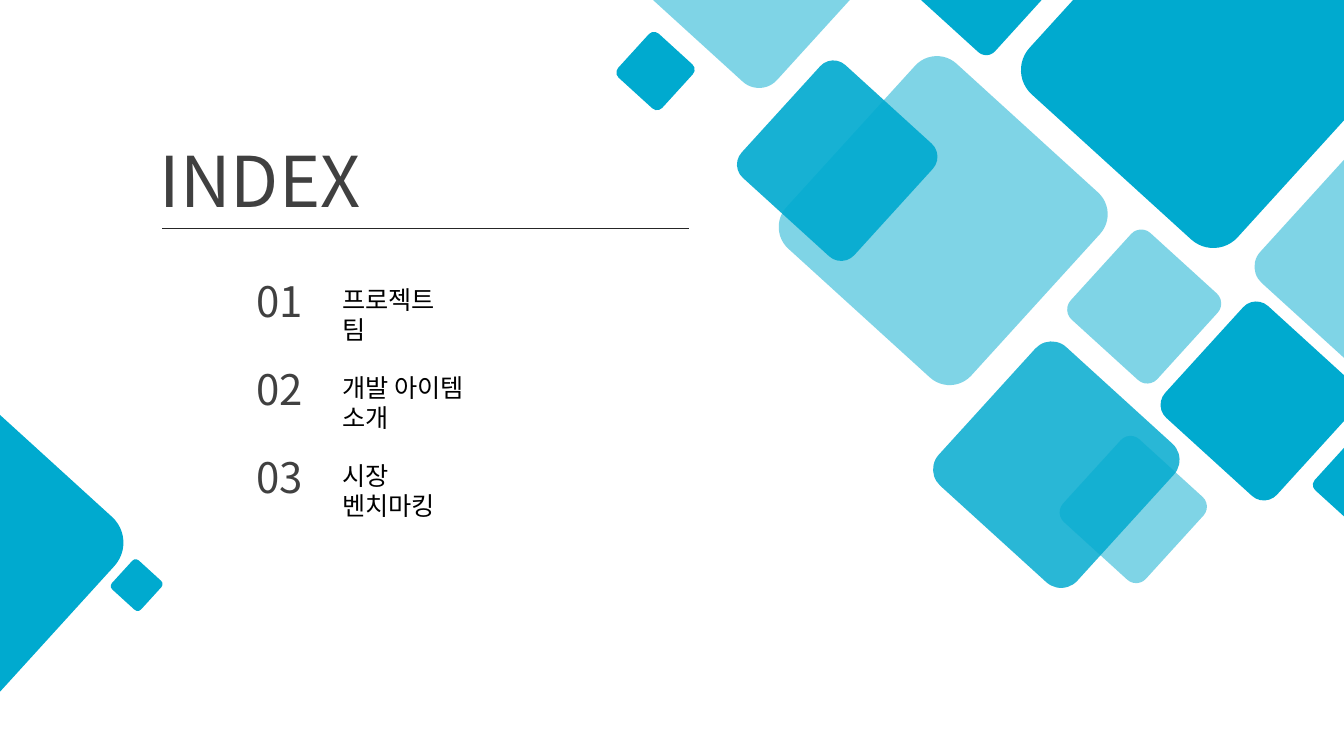
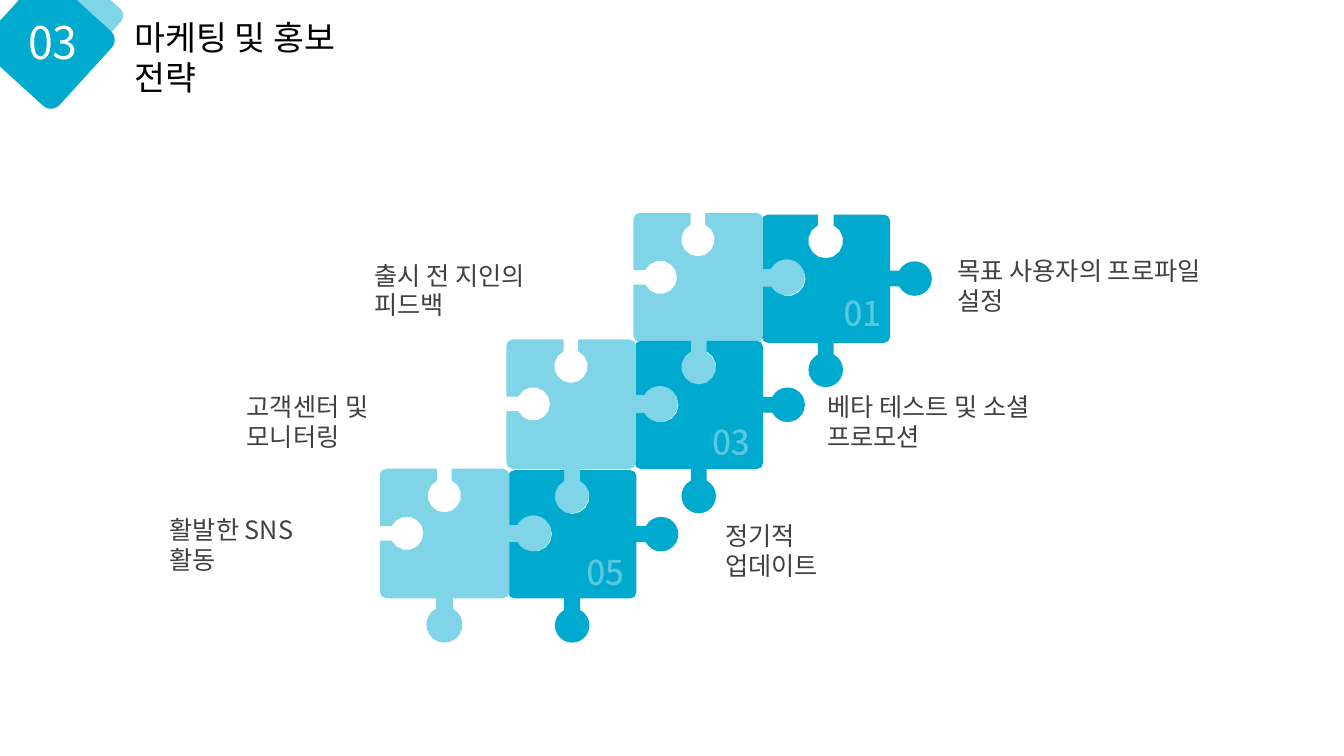
from dataclasses import dataclass
from math import asin, cos, pi, sin

from lxml.etree import SubElement
from pptx import Presentation
from pptx.dml.color import RGBColor
from pptx.enum.shapes import MSO_CONNECTOR as Connector, MSO_SHAPE as Preset
from pptx.oxml.ns import qn
from pptx.util import Cm, Pt


@dataclass(frozen=True)
class Theme:
    font: str = "Noto Sans CJK KR"
    blue: str = "00AACF"
    pale: str = "7FD4E7"
    black: str = "000000"
    grey: str = "404040"
    dark: str = "262626"
    white: str = "FFFFFF"
    display: int = 50
    badge: int = 32
    number: int = 30
    title: int = 24
    body: int = 18
    line_height: float = 1.19
    tilt: float = 42.3
    rounding: float = 0.117


THEME = Theme()

SIDE, CORNER, MIDDLE = 3.23, 0.15, 1.61
SOCKET_DEPTH, SOCKET_RADIUS, SLOT = 0.66, 0.44, 0.2
BALL, NECK_LENGTH = 0.87, 1.14


def arc(x, y, radius, start, end, steps):
    angles = (start + (end - start) * i / steps for i in range(steps + 1))
    return [(x + radius * cos(a), y + radius * sin(a)) for a in angles]


def puzzle_outline():
    half = asin(SLOT / SOCKET_RADIUS)
    socket = arc(MIDDLE, SOCKET_DEPTH, SOCKET_RADIUS,
                 -pi / 2 - half, -5 * pi / 2 + half, 12)
    top = [(MIDDLE - SLOT, 0), *socket, (MIDDLE + SLOT, 0)]
    left = [(y, x) for x, y in reversed(top)]
    near, far = CORNER, SIDE - CORNER
    corners = [arc(x, y, CORNER, turn * pi / 2, (turn + 1) * pi / 2, 2)
               for x, y, turn in ((near, near, 2), (far, near, 3),
                                  (far, far, 0), (near, far, 1))]
    return corners[0] + top + corners[1] + corners[2] + corners[3] + left


class Deck:
    def __init__(self, theme):
        self.theme = theme
        self.presentation = Presentation()
        self.presentation.slide_width = Cm(33.87)
        self.presentation.slide_height = Cm(19.05)
        self.slide = None

    def new_slide(self):
        self.slide = self.presentation.slides.add_slide(
            self.presentation.slide_layouts[6])

    def paint(self, shape, color, opacity=100, outlined=False):
        shape.shadow.inherit = False
        shape.fill.solid()
        shape.fill.fore_color.rgb = RGBColor.from_string(color)
        if opacity < 100:
            fill_color = shape._element.spPr.find(qn("a:solidFill"))[0]
            SubElement(fill_color, qn("a:alpha")).set("val", str(opacity * 1000))
        if outlined:
            shape.line.color.rgb = RGBColor.from_string(color)
            shape.line.width = Pt(1)
        else:
            shape.line.fill.background()

    def diamond(self, x, y, side, opacity=100):
        shape = self.slide.shapes.add_shape(
            Preset.ROUNDED_RECTANGLE, Cm(x), Cm(y), Cm(side), Cm(side))
        shape.adjustments[0] = self.theme.rounding
        shape.rotation = self.theme.tilt
        self.paint(shape, self.theme.blue, opacity)

    def text(self, words, x, y, width, height, size, color, outline=None):
        frame = self.slide.shapes.add_textbox(
            Cm(x), Cm(y), Cm(width), Cm(height)).text_frame
        frame.word_wrap = True
        paragraph = frame.paragraphs[0]
        paragraph.line_spacing = Pt(round(size * self.theme.line_height, 1))
        run = paragraph.add_run()
        run.text = words
        style = {"name": self.theme.font, "size": Pt(size)}
        for name, value in style.items():
            setattr(run.font, name, value)
        run.font.color.rgb = RGBColor.from_string(color)
        properties = run._r.get_or_add_rPr()
        east_asian = SubElement(properties, qn("a:ea"))
        east_asian.set("typeface", self.theme.font)
        if outline:
            self.outline_text(properties, *outline)

    @staticmethod
    def outline_text(properties, color, opacity):
        line = SubElement(properties, qn("a:ln"), w=str(Pt(0.75)))
        properties.insert(0, line)
        fill = SubElement(line, qn("a:solidFill"))
        line_color = SubElement(fill, qn("a:srgbClr"), val=color)
        SubElement(line_color, qn("a:alpha"), val=str(opacity * 1000))

    def rule(self, x1, x2, y):
        line = self.slide.shapes.add_connector(
            Connector.STRAIGHT, Cm(x1), Cm(y), Cm(x2), Cm(y))
        line.line.color.rgb = RGBColor.from_string(self.theme.dark)
        line.line.width = Pt(0.5)
        SubElement(line._element.spPr, qn("a:effectLst"))

    def puzzle_piece(self, x, y, color, outlined):
        shapes = self.slide.shapes.add_group_shape().shapes
        points = [(Cm(x + dx), Cm(y + dy)) for dx, dy in puzzle_outline()]
        builder = shapes.build_freeform(*points[0])
        builder.add_line_segments(points[1:], close=True)
        self.paint(builder.convert_to_shape(), color, outlined=outlined)
        tabs = (
            (Preset.OVAL, 3.85, MIDDLE, BALL, BALL),
            (Preset.RECTANGLE, 3.42, MIDDLE, NECK_LENGTH, 2 * SLOT),
            (Preset.OVAL, MIDDLE, 3.91, BALL, BALL),
            (Preset.RECTANGLE, MIDDLE, 3.48, 2 * SLOT, NECK_LENGTH),
        )
        for preset, dx, dy, width, height in tabs:
            shape = shapes.add_shape(
                preset, Cm(x + dx - width / 2), Cm(y + dy - height / 2),
                Cm(width), Cm(height))
            self.paint(shape, color, outlined=outlined)


def index_slide(deck):
    theme = deck.theme
    deck.new_slide()
    for diamond in (
        (20.62, 2.41, 6.3, 50), (26.85, -1.96, 7.09), (16.38, -3.84, 5.23, 50),
        (23.52, -1.55, 2.54), (24.26, 9.35, 4.72, 84), (32.36, 4.24, 4.72, 50),
        (29.85, 8.2, 3.81), (19.18, 2.13, 3.84, 91), (15.77, 1.04, 1.5),
        (-5.54, 10.13, 7.47), (2.95, 14.25, 0.99), (27.36, 6.25, 2.95, 50),
        (27.15, 11.43, 2.82, 50),
    ):
        deck.diamond(*diamond)
    deck.text("INDEX", 3.78, 3.35, 5.74, 2.39, theme.display, theme.grey)
    deck.rule(4.09, 17.36, 5.75)
    deck.diamond(33.32, 11.43, 1.5)
    entries = (("프로젝트 팀", 3.5), ("개발 아이템 소개", 4.83), ("시장 벤치마킹", 4.06))
    for row, (entry, width) in enumerate(entries):
        y = 6.83 + 2.22 * row
        deck.text(f"{row + 1:02}", 6.22, y, 1.73, 1.55, theme.number, theme.grey)
        deck.text(entry, 8.38, y + 0.22, width, 1.02, theme.body, theme.black,
                  (theme.grey, 15))


def strategy_slide(deck):
    theme = deck.theme
    deck.new_slide()
    deck.diamond(-0.05, -0.2, 2.54)
    deck.diamond(0.91, -0.51, 1.9, 50)
    deck.text("03", 0.46, 0.25, 1.8, 1.63, theme.badge, theme.white)
    deck.text("마케팅 및 홍보 전략", 3.14, 0.3, 7.21, 1.27, theme.title,
              theme.black, (theme.grey, 15))
    rows = ((19.2, 5.41, 5.38), (16, 8.59, 8.57), (12.81, 11.85, 11.83))
    for x, blue_y, pale_y in rows:
        deck.puzzle_piece(x, blue_y, theme.blue, False)
        deck.puzzle_piece(x - SIDE + 0.01, pale_y, theme.pale, True)
    for number, x, y in (("01", 21.01, 7.24), ("03", 17.7, 10.49),
                         ("05", 14.53, 13.77)):
        deck.text(number, x, y, 1.47, 1.27, theme.title, theme.white,
                  (theme.white, 35))
    for label, x, y, width in (
        ("목표 사용자의 프로파일 설정", 23.88, 6.32, 7.8),
        ("베타 테스트 및 소셜 프로모션", 20.6, 9.75, 8),
        ("정기적 업데이트", 18.03, 13, 4.62),
        ("출시 전 지인의 피드백", 9.19, 6.43, 6.12),
        ("고객센터 및 모니터링", 5.97, 9.75, 5.94),
        ("활발한 SNS활동", 4.03, 12.85, 4.75),
    ):
        deck.text(label, x, y, width, 1.02, theme.body, theme.grey,
                  (theme.dark, 15))


def main():
    deck = Deck(THEME)
    index_slide(deck)
    strategy_slide(deck)
    deck.presentation.save("out.pptx")


if __name__ == "__main__":
    main()
